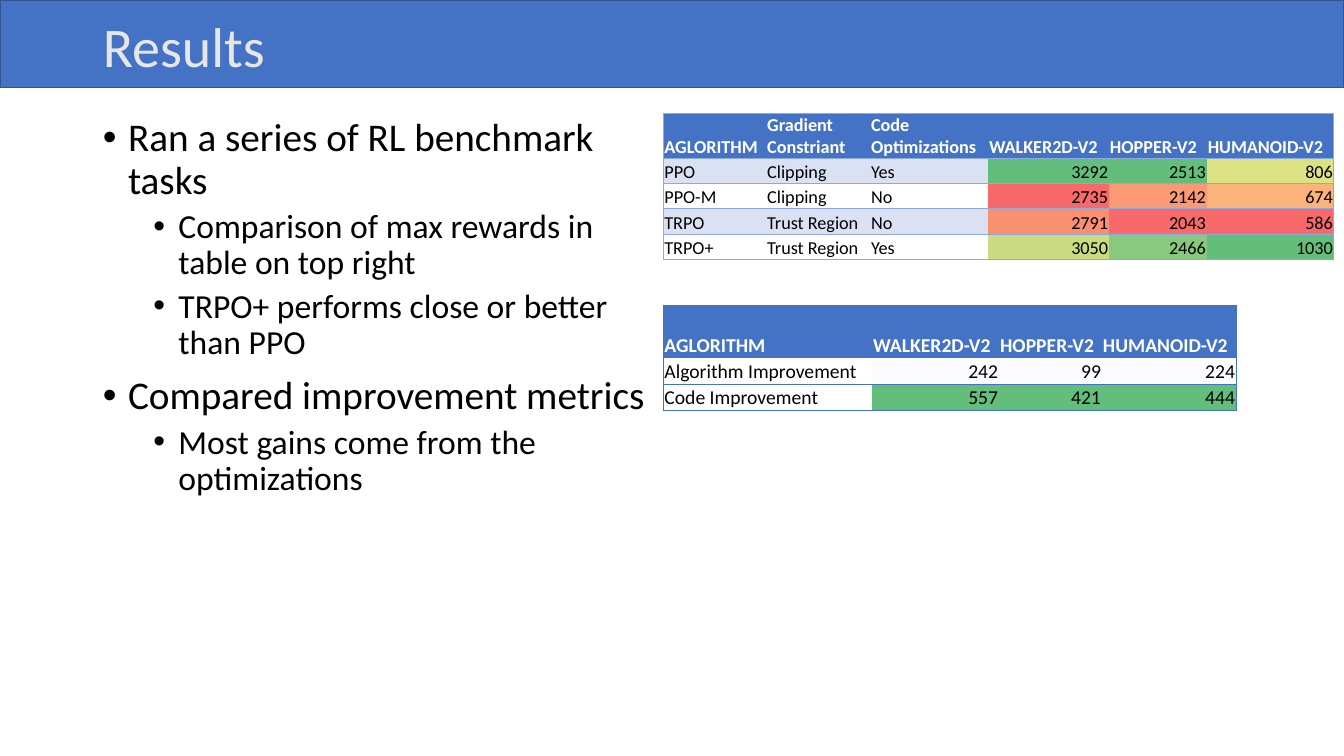
from lxml.etree import SubElement
from pptx import Presentation
from pptx.dml.color import RGBColor
from pptx.enum.shapes import MSO_SHAPE
from pptx.enum.text import MSO_ANCHOR, MSO_AUTO_SIZE, PP_ALIGN
from pptx.oxml.ns import qn
from pptx.util import Inches, Pt

FONT = "Calibri"
BLUE, PALE, BLACK, WHITE = "4472C4", "D9E1F2", "000000", "FFFFFF"
GREEN, RED, NEUTRAL = "63BE7B", "F8696B", "FCFCFF"
NO_GRID_STYLE = "{2D5ABB26-0587-4C30-8999-92F81FD0307C}"

TITLE = "Results"
POINTS = [
    (0, "Ran a series of RL benchmark tasks"),
    (1, "Comparison of max rewards in table on top right"),
    (1, "TRPO+ performs close or better than PPO"),
    (0, "Compared improvement metrics"),
    (1, "Most gains come from the optimizations"),
]
# Per outline level: text size, space before, left indent in inches
LEVELS = [(28, 10, 0.25), (24, 5, 0.75)]

# Body rows: labels, label fill, then (score, fill) pairs
REWARDS = {
    "top": 1.12, "size": 13, "border": "8EA9DB",
    "columns": [1.02, 1.03, 1.17, 1.2, 0.97, 1.26],
    "heights": [0.45] + [0.25] * 4,
    "header": ["AGLORITHM", "Gradient\nConstriant", "Code\nOptimizations",
               "WALKER2D-V2", "HOPPER-V2", "HUMANOID-V2"],
    "body": [
        (["PPO", "Clipping", "Yes"], PALE,
         [(3292, GREEN), (2513, GREEN), (806, "DCE182")]),
        (["PPO-M", "Clipping", "No"], None,
         [(2735, RED), (2142, "FA9A74"), (674, "FCB379")]),
        (["TRPO", "Trust Region", "No"], PALE,
         [(2791, "FA9072"), (2043, RED), (586, RED)]),
        (["TRPO+", "Trust Region", "Yes"], None,
         [(3050, "C9DC81"), (2466, "87C97E"), (1030, GREEN)]),
    ],
}
IMPROVEMENTS = {
    "top": 3.03, "size": 14, "border": BLUE,
    "columns": [2.07, 1.26, 1.02, 1.33],
    "heights": [0.52, 0.26, 0.26],
    "header": ["AGLORITHM", "WALKER2D-V2", "HOPPER-V2", "HUMANOID-V2"],
    "body": [
        (["Algorithm Improvement"], None,
         [(242, NEUTRAL), (99, NEUTRAL), (224, NEUTRAL)]),
        (["Code Improvement"], None,
         [(557, GREEN), (421, GREEN), (444, GREEN)]),
    ],
}
TABLE_LEFT = 6.58


def color(hex_code):
    return RGBColor.from_string(hex_code)


def style(font, size, hex_code, bold=False):
    font.name, font.size, font.bold = FONT, Pt(size), bold
    font.color.rgb = color(hex_code)


def place(shape, left, top, width, height):
    shape.left, shape.top = Inches(left), Inches(top)
    shape.width, shape.height = Inches(width), Inches(height)


def add_band(slide):
    """Draw the title band behind everything else."""
    band = slide.shapes.add_shape(MSO_SHAPE.RECTANGLE, 0, 0,
                                  Inches(13.33), Inches(0.87))
    band.shadow.inherit = False
    band.fill.solid()
    band.fill.fore_color.rgb = color(BLUE)
    band.line.color.rgb = color("325491")
    band.line.width = Pt(1)
    slide.shapes._spTree.insert(2, band._element)


def fill_title(title):
    place(title, 0.92, 0, 11.5, 0.98)
    frame = title.text_frame
    frame.vertical_anchor = MSO_ANCHOR.MIDDLE
    frame.auto_size = MSO_AUTO_SIZE.NONE
    paragraph = frame.paragraphs[0]
    paragraph.alignment, paragraph.line_spacing = PP_ALIGN.LEFT, 0.9
    run = paragraph.add_run()
    run.text = TITLE
    style(run.font, 40, "E7E6E6")


def fill_points(body):
    place(body, 0.92, 1.12, 5.67, 5.63)
    frame = body.text_frame
    frame.auto_size = MSO_AUTO_SIZE.NONE
    for i, (level, text) in enumerate(POINTS):
        size, before, indent = LEVELS[level]
        paragraph = frame.add_paragraph() if i else frame.paragraphs[0]
        paragraph.level = level
        paragraph.line_spacing = 0.9
        paragraph.space_before = Pt(before if i else 0)
        properties = paragraph._p.get_or_add_pPr()
        properties.set("marL", str(Inches(indent)))
        properties.set("indent", str(Inches(-0.25)))
        SubElement(properties, qn("a:buFont"), typeface="Arial")
        SubElement(properties, qn("a:buChar"), char="•")
        run = paragraph.add_run()
        run.text = text
        style(run.font, size, BLACK)


def add_borders(cell, sides, hex_code):
    for side in sides:
        line = SubElement(cell._tc.get_or_add_tcPr(), qn("a:ln" + side),
                          w=str(Pt(0.5)))
        solid = SubElement(line, qn("a:solidFill"))
        SubElement(solid, qn("a:srgbClr"), val=hex_code)


def fill_cell(cell, text, fill, size, text_color, bold, alignment):
    cell.vertical_anchor = MSO_ANCHOR.BOTTOM
    cell.margin_left = cell.margin_right = cell.margin_top = Inches(0.01)
    cell.margin_bottom = 0
    if fill:
        cell.fill.solid()
        cell.fill.fore_color.rgb = color(fill)
    else:
        cell.fill.background()
    paragraph = cell.text_frame.paragraphs[0]
    paragraph.alignment = alignment
    for i, part in enumerate(text.split("\n")):
        if i:
            paragraph.add_line_break()
        run = paragraph.add_run()
        run.text = part
        style(run.font, size, text_color, bold)


def add_score_table(slide, data):
    columns, heights = data["columns"], data["heights"]
    table = slide.shapes.add_table(
        len(heights), len(columns), Inches(TABLE_LEFT), Inches(data["top"]),
        Inches(sum(columns)), Inches(sum(heights))).table
    table.horz_banding = False
    table._tbl.tblPr.find(qn("a:tableStyleId")).text = NO_GRID_STYLE
    for column, width in zip(table.columns, columns):
        column.width = Inches(width)
    for row, height in zip(table.rows, heights):
        row.height = Inches(height)

    left, right = PP_ALIGN.LEFT, PP_ALIGN.RIGHT
    grid = [[(name, BLUE, left) for name in data["header"]]]
    for labels, label_fill, scores in data["body"]:
        grid.append([(label, label_fill, left) for label in labels]
                    + [(str(score), fill, right) for score, fill in scores])
    for r, row in enumerate(grid):
        text_color = BLACK if r else WHITE
        for c, (text, fill, alignment) in enumerate(row):
            cell = table.cell(r, c)
            outer = "L" if c == 0 else "R" if c == len(row) - 1 else ""
            add_borders(cell, outer + "TB", data["border"])
            fill_cell(cell, text, fill, data["size"], text_color,
                      r == 0, alignment)


def main():
    deck = Presentation()
    deck.slide_width, deck.slide_height = Inches(13.33), Inches(7.5)
    slide = deck.slides.add_slide(deck.slide_layouts[1])
    add_band(slide)
    fill_title(slide.shapes.title)
    fill_points(slide.placeholders[1])
    for data in (REWARDS, IMPROVEMENTS):
        add_score_table(slide, data)
    deck.save("out.pptx")


if __name__ == "__main__":
    main()
